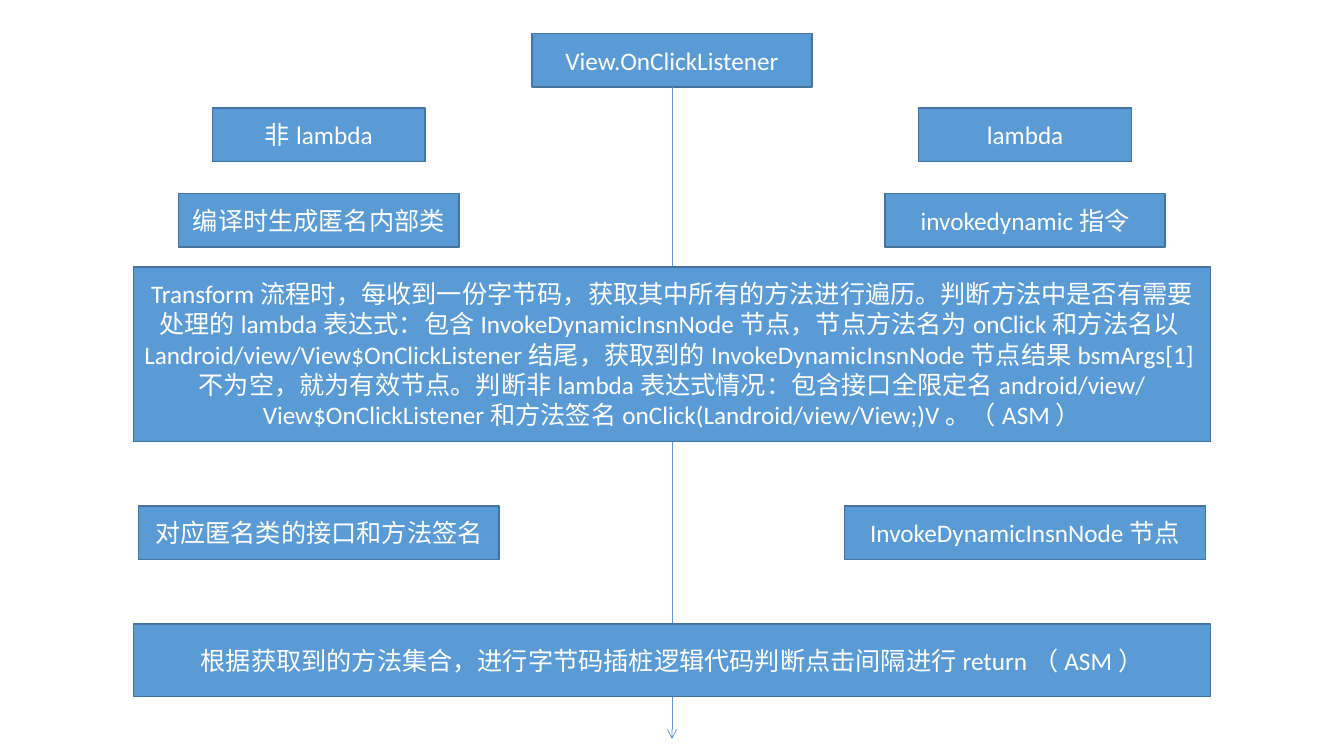
import pptx
import pptx.util
import pptx.dml.color
import pptx.enum.shapes
import pptx.enum.text
import pptx.oxml
import pptx.oxml.ns
import lxml.etree

Cm, Pt = pptx.util.Cm, pptx.util.Pt
SLIDE_W, SLIDE_H = 33.87, 19.05
BOX_H = 1.35
FILL, EDGE, WHITE = "5B9BD5", "43739E", "FFFFFF"
FONT = {"name": "Calibri", "size": Pt(18)}
FRAME = {"word_wrap": True, "vertical_anchor": pptx.enum.text.MSO_ANCHOR.MIDDLE}

# Rows of a branch: (top, width, text)
NON_LAMBDA = [
    (2.72, 5.36, "非lambda"),
    (4.88, 7.06, "编译时生成匿名内部类"),
    (12.75, 9.09, "对应匿名类的接口和方法签名"),
]
LAMBDA = [
    (2.72, 5.36, "lambda"),
    (4.88, 7.06, "invokedynamic指令"),
    (12.75, 9.09, "InvokeDynamicInsnNode节点"),
]
# Shared steps: (top, height, text)
STEPS = [
    (6.73, 4.39,
     "Transform流程时，每收到一份字节码，获取其中所有的方法进行遍历。"
     "判断方法中是否有需要处理的lambda表达式：包含InvokeDynamicInsnNode节点，"
     "节点方法名为onClick和方法名以Landroid/view/View$OnClickListener结尾，"
     "获取到的InvokeDynamicInsnNode节点结果bsmArgs[1]不为空，就为有效节点。"
     "判断非lambda表达式情况：包含接口全限定名android/view/View$OnClickListener"
     "和方法签名onClick(Landroid/view/View;)V。（ASM）"),
    (15.72, 1.83,
     "根据获取到的方法集合，进行字节码插桩逻辑代码判断点击间隔进行return（ASM）"),
]


def color(hex_text):
    return pptx.dml.color.RGBColor.from_string(hex_text)


def set_all(obj, values):
    for name, value in values.items():
        setattr(obj, name, value)


def add_box(s, center, top, width, height, text):
    sp = s.shapes.add_shape(
        pptx.enum.shapes.MSO_SHAPE.RECTANGLE,
        Cm(center - width / 2), Cm(top), Cm(width), Cm(height))
    sp.shadow.inherit = False
    sp.fill.solid()
    sp.fill.fore_color.rgb = color(FILL)
    sp.line.color.rgb = color(EDGE)
    sp.line.width = Pt(1)
    tf = sp.text_frame
    set_all(tf, FRAME)
    p = tf.paragraphs[0]
    p.alignment = pptx.enum.text.PP_ALIGN.CENTER
    r = p.add_run()
    r.text = text
    set_all(r.font, FONT)
    r.font.color.rgb = color(WHITE)


def add_arrow(s, x, top, bottom):
    line = s.shapes.add_connector(
        pptx.enum.shapes.MSO_CONNECTOR.STRAIGHT, Cm(x), Cm(top), Cm(x), Cm(bottom))
    line.line.color.rgb = color(FILL)
    line.line.width = Pt(0.5)
    qn = pptx.oxml.ns.qn
    tail = lxml.etree.SubElement(line.line._get_or_add_ln(), qn("a:tailEnd"))
    tail.set("type", "arrow")
    lxml.etree.SubElement(line._element.spPr, qn("a:effectLst"))


# Listener at the head, with the arrow running down from it
def add_trunk(s, left, top, width, height):
    center = left + width / 2
    add_box(s, center, top, 7.06, BOX_H, "View.OnClickListener")
    add_arrow(s, center, top + BOX_H, top + height)


# One column of centred boxes
def add_branch(s, left, top, width, rows):
    for row_top, row_width, text in rows:
        add_box(s, left + width / 2, top + row_top, row_width, BOX_H, text)


# Full-width steps that both branches share
def add_steps(s, left, top, width, steps):
    for step_top, height, text in steps:
        add_box(s, left + width / 2, top + step_top, width, height, text)


def build_flow(prs):
    s = prs.slides.add_slide(prs.slide_layouts[6])
    steps_w, branch_w, branch_offset = 27.15, 9.09, 8.9
    center = SLIDE_W / 2
    add_trunk(s, 0, 0.84, SLIDE_W, 17.78)
    for side, rows in ((-1, NON_LAMBDA), (1, LAMBDA)):
        left = center + side * branch_offset - branch_w / 2
        add_branch(s, left, 0, branch_w, rows)
    add_steps(s, center - steps_w / 2, 0, steps_w, STEPS)


prs = pptx.Presentation()
prs.slide_width, prs.slide_height = Cm(SLIDE_W), Cm(SLIDE_H)
build_flow(prs)
prs.save("out.pptx")
